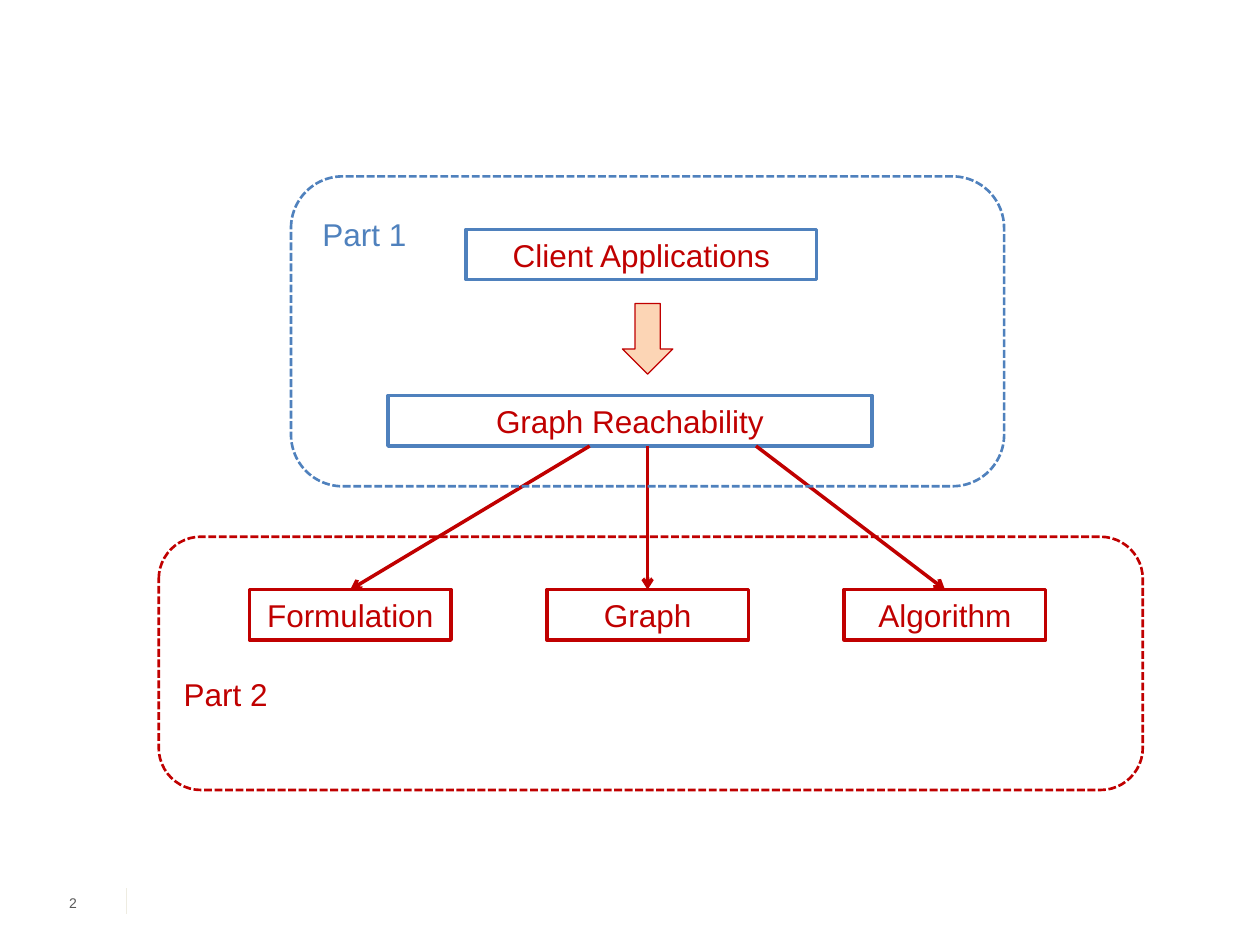
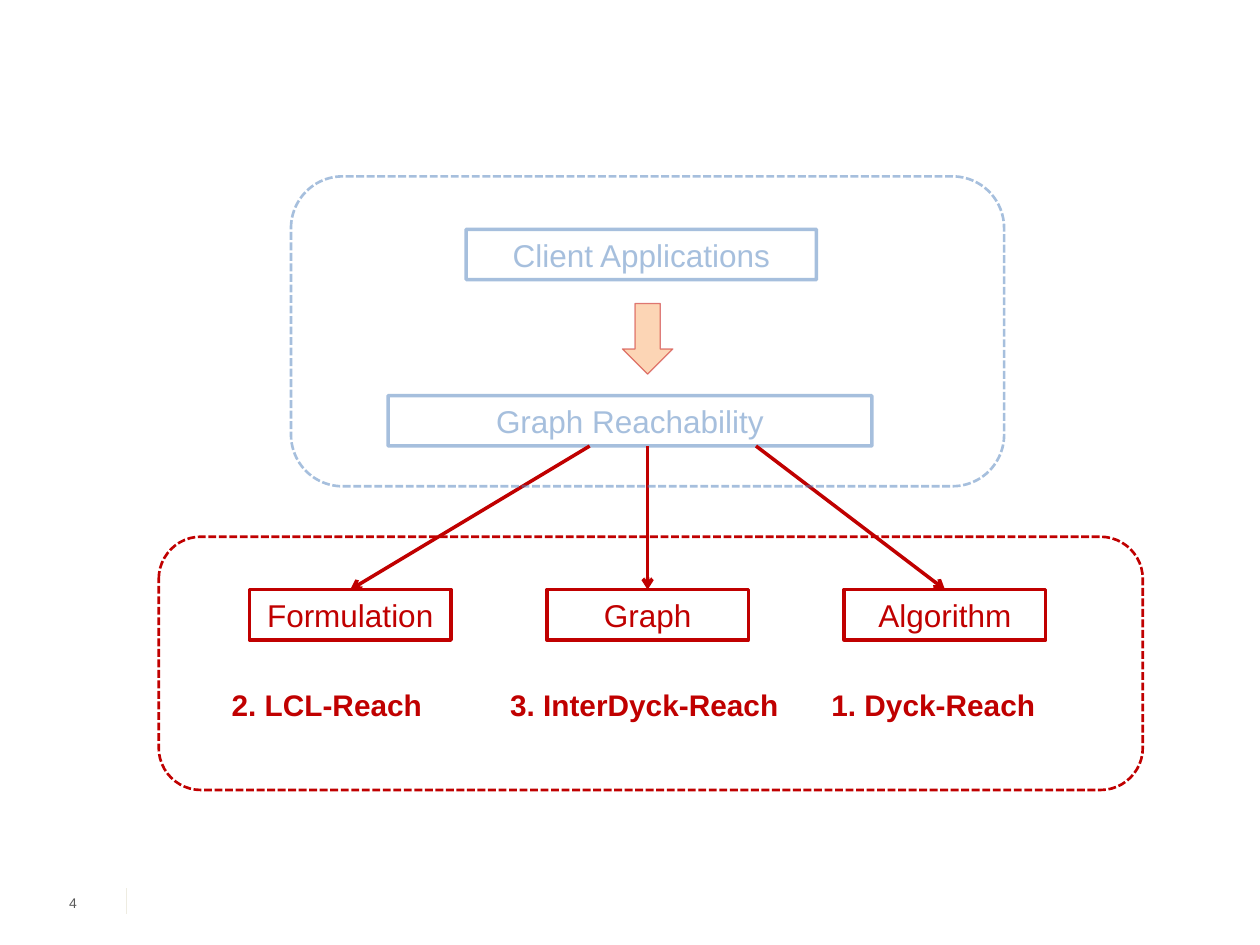
from pptx import Presentation
from pptx.dml.color import RGBColor
from pptx.enum.dml import MSO_LINE
from pptx.enum.shapes import MSO_CONNECTOR, MSO_SHAPE
from pptx.enum.text import MSO_ANCHOR, MSO_AUTO_SIZE, PP_ALIGN
from pptx.oxml.ns import qn
from pptx.util import Inches, Pt

RECT, ROUND, DOWN = MSO_SHAPE.RECTANGLE, MSO_SHAPE.ROUNDED_RECTANGLE, MSO_SHAPE.DOWN_ARROW
DASH, STRAIGHT = MSO_LINE.SQUARE_DOT, MSO_CONNECTOR.STRAIGHT
LEFT, CENTER, RIGHT = PP_ALIGN.LEFT, PP_ALIGN.CENTER, PP_ALIGN.RIGHT
MIDDLE, GROW = MSO_ANCHOR.MIDDLE, MSO_AUTO_SIZE.SHAPE_TO_FIT_TEXT

FONT = "Arial"
COLORS = {"blue": "4F81BD", "red": "C00000", "peach": "FCD5B5",
          "rule": "EEECE1", "grey": "595959"}

# Content: labels are (text, left, top, width)
SLIDES = [
    {"number": "2", "faded": False, "size": 18, "bold": False, "wrap": False,
     "labels": [("Part 1", 2.46, 1.66, 0.88, "blue"), ("Part 2", 1.36, 5.31, 0.88, "red")]},
    {"number": "4", "faded": True, "size": 17, "bold": True, "wrap": True,
     "labels": [("2. LCL-Reach", 1.74, 5.4, 1.84, "red"),
                ("3. InterDyck-Reach", 3.95, 5.4, 2.38, "red"),
                ("1. Dyck-Reach", 6.5, 5.4, 2.01, "red")]},
]
TOPICS = [("Client Applications", 3.7, 1.82, 2.78), ("Graph Reachability", 3.08, 3.14, 3.84)]
ASPECTS = ["Formulation", "Graph", "Algorithm"]
ARROW_STARTS, ARROW_ENDS = [4.68, 5.14, 6], [2.78, 5.14, 7.5]

# Grid, in inches
BOX_H = 0.4
ASPECT_LEFT, ASPECT_STEP, ASPECT_TOP, ASPECT_W = 1.98, 2.36, 4.68, 1.6
ARROW_TOP = TOPICS[1][2] + BOX_H
PART_1, PART_2 = (2.31, 1.4, 5.66, 2.46), (1.26, 4.26, 7.81, 2.01)
BLOCK_ARROW = (4.94, 2.41, 0.4, 0.56)
NUMBER = (0.33, 7, 0.33, 0.33)


def inches(values):
    return [Inches(v) for v in values]


def rgb(name):
    return RGBColor.from_string(COLORS[name])


def fade(element):
    """Make every colour inside the element half transparent."""
    for clr in element.iter(qn("a:srgbClr")):
        clr.append(clr.makeelement(qn("a:alpha"), {"val": "50000"}))


def write(sp, text, size, color, align, bold=False):
    tf = sp.text_frame
    tf.text = text
    p = tf.paragraphs[0]
    p.alignment = align
    r = p.runs[0]
    r.font.name, r.font.size, r.font.bold = FONT, Pt(size), bold
    r.font.color.rgb = rgb(color)
    return tf


def add_outline(s, kind, at, color, width, faded=False, dash=None, fill=None):
    sp = s.shapes.add_shape(kind, *inches(at))
    sp.shadow.inherit = False
    sp.line.color.rgb = rgb(color)
    sp.line.width = Pt(width)
    if dash:
        sp.line.dash_style = dash
    if faded:
        fade(sp.line._get_or_add_ln())
    if fill:
        sp.fill.solid()
        sp.fill.fore_color.rgb = rgb(fill)
    else:
        sp.fill.background()
    return sp


def add_box(s, text, at, line, color, faded=False):
    sp = add_outline(s, RECT, at, line, 2, faded)
    tf = write(sp, text, 18, color, CENTER)
    tf.word_wrap, tf.auto_size = True, GROW
    if faded:
        fade(tf.paragraphs[0].runs[0].font._element)


def add_line(s, start, end, color, width, arrow=False):
    c = s.shapes.add_connector(STRAIGHT, *inches(start + end))
    c.line.color.rgb = rgb(color)
    c.line.width = Pt(width)
    pr = c._element.spPr
    pr.append(pr.makeelement(qn("a:effectLst"), {}))
    if arrow:
        ln = c.line._get_or_add_ln()
        ln.append(ln.makeelement(qn("a:tailEnd"), {"type": "arrow"}))


def add_footer(s, number):
    add_line(s, (1, 7.05), (1, 7.25), "rule", 0.25)
    tf = write(s.shapes.add_textbox(*inches(NUMBER)), number, 8, "grey", RIGHT)
    tf.word_wrap, tf.vertical_anchor = True, MIDDLE
    tf.margin_left, tf.margin_right = 0, Inches(0.05)


def add_diagram(s, faded):
    # Upper part: topics
    for text, x, y, w in TOPICS:
        add_box(s, text, (x, y, w, BOX_H), "blue", "blue" if faded else "red", faded)
    # Lower part: aspects, each with its arrow
    for i, text in enumerate(ASPECTS):
        at = (ASPECT_LEFT + i * ASPECT_STEP, ASPECT_TOP, ASPECT_W, BOX_H)
        add_box(s, text, at, "red", "red")
    for x1, x2 in zip(ARROW_STARTS, ARROW_ENDS):
        add_line(s, (x1, ARROW_TOP), (x2, ASPECT_TOP), "red", 2, arrow=True)
    # Block arrow and dashed frames
    add_outline(s, DOWN, BLOCK_ARROW, "red", 0.75, faded, fill="peach")
    add_outline(s, ROUND, PART_1, "blue", 1.5, faded, DASH)
    add_outline(s, ROUND, PART_2, "red", 1.5, dash=DASH)


def main():
    prs = Presentation()
    prs.slide_width, prs.slide_height = Inches(10), Inches(7.5)
    for page in SLIDES:
        s = prs.slides.add_slide(prs.slide_layouts[6])
        add_footer(s, page["number"])
        add_diagram(s, page["faded"])
        for text, x, y, w, color in page["labels"]:
            sp = s.shapes.add_textbox(*inches((x, y, w, BOX_H)))
            tf = write(sp, text, page["size"], color, LEFT, page["bold"])
            tf.word_wrap, tf.auto_size = page["wrap"], GROW
    prs.save("out.pptx")


if __name__ == "__main__":
    main()
